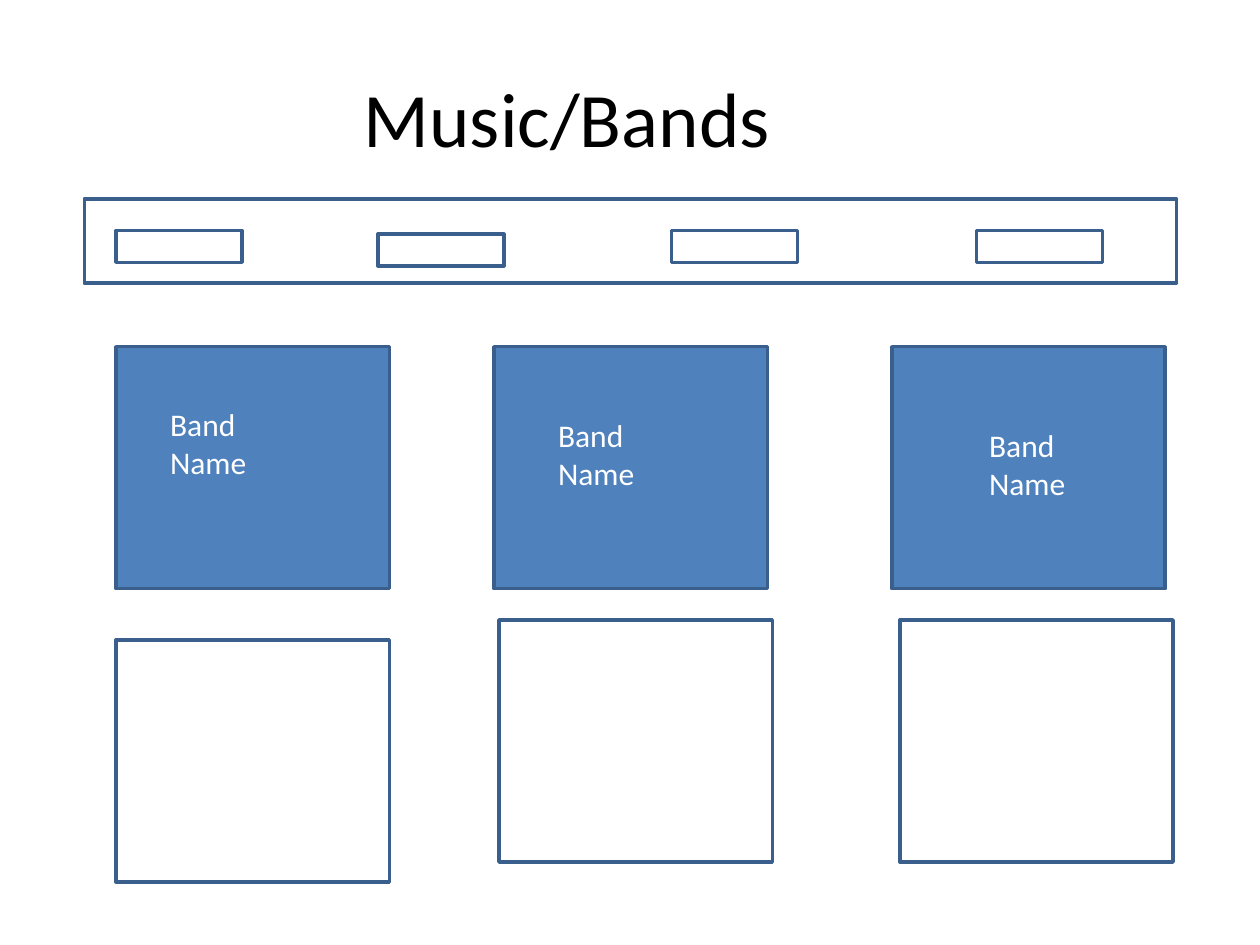
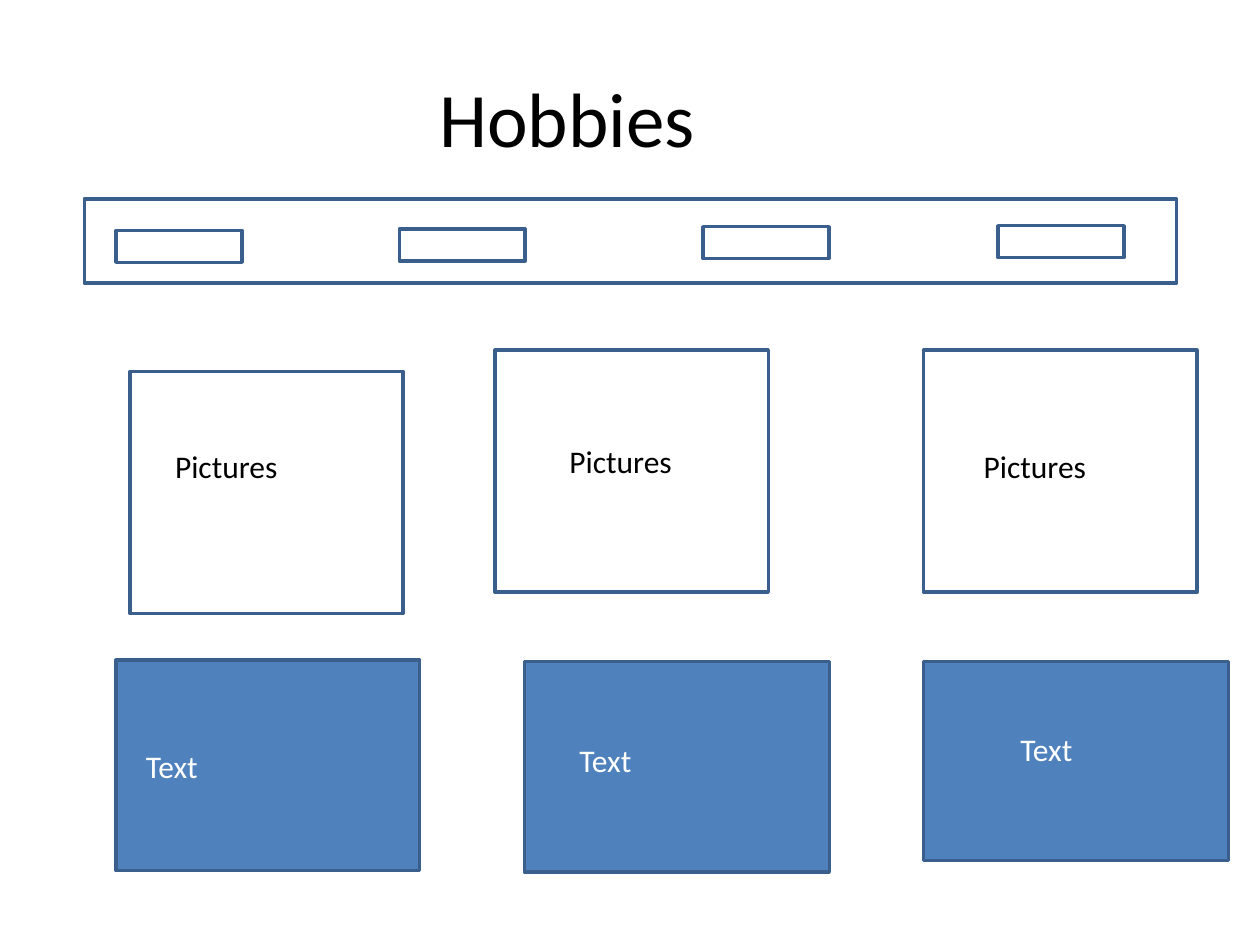
from pptx import Presentation
from pptx.dml.color import RGBColor
from pptx.enum.shapes import MSO_SHAPE as Shape
from pptx.enum.text import MSO_ANCHOR as Anchor, PP_ALIGN as Align
from pptx.util import Cm, Pt

# Shared look
FONT = "Calibri"
WHITE, BLACK = "FFFFFF", "000000"
BLUE, OUTLINE = "4F81BD", "3A5F8C"
BUTTON = (2.54, 0.64)
TILE = (5.51, 4.88)


def color(hex_code):
    return RGBColor.from_string(hex_code)


def add_box(page, left, top, width, height, fill=WHITE):
    box = page.shapes.add_shape(
        Shape.RECTANGLE, Cm(left), Cm(top), Cm(width), Cm(height))
    box.shadow.inherit = False
    box.fill.solid()
    box.fill.fore_color.rgb = color(fill)
    box.line.color.rgb = color(OUTLINE)
    box.line.width = Pt(2)


def add_text(page, text, left, top, width, height, ink=BLACK, size=18,
             align=Align.LEFT, anchor=Anchor.TOP):
    box = page.shapes.add_textbox(Cm(left), Cm(top), Cm(width), Cm(height))
    frame = box.text_frame
    frame.word_wrap = True
    frame.vertical_anchor = anchor
    para = frame.paragraphs[0]
    para.alignment = align
    span = para.add_run()
    span.text = text
    span.font.name = FONT
    span.font.size = Pt(size)
    span.font.color.rgb = color(ink)


def add_page(deck, title, buttons):
    """Add a page with its title and the navigation bar."""
    page = deck.slides.add_slide(deck.slide_layouts[6])
    add_text(page, title, 0, 0.76, 22.86, 3.18, size=44,
             align=Align.CENTER, anchor=Anchor.MIDDLE)
    add_box(page, 1.7, 4.01, 22.02, 1.7)
    for left, top in buttons:
        add_box(page, left, top, *BUTTON)
    return page


def add_tiles(page, corners, fill=WHITE):
    for left, top in corners:
        add_box(page, left, top, *TILE, fill)


def add_labels(page, text, places, height, ink):
    for left, top, width in places:
        add_text(page, text, left, top, width, height, ink)


def add_bands_page(deck):
    page = add_page(deck, "Music/Bands", [
        (2.34, 4.65), (7.62, 4.72), (13.54, 4.65), (19.69, 4.65)])
    # Band names above, empty tiles below
    add_tiles(page, [(left, 6.99) for left in (2.34, 9.96, 17.98)], BLUE)
    add_tiles(page, [(2.34, 12.9), (10.06, 12.5), (18.14, 12.5)])
    add_labels(page, "Band Name", [
        (3.18, 8.05, 3.18), (11, 8.26, 2.97), (19.69, 8.46, 2.74)],
        1.8, WHITE)


def add_hobbies_page(deck):
    page = add_page(deck, "Hobbies", [
        (2.34, 4.65), (8.05, 4.62), (14.17, 4.57), (20.12, 4.55)])
    # Picture tiles
    add_tiles(page, [(2.62, 7.49), (9.98, 7.06), (18.62, 7.06)])
    add_labels(page, "Pictures", [
        (3.28, 8.89, 3.61), (11.23, 8.79, 3.61), (19.58, 8.89, 3.61)],
        1.02, BLACK)
    # Text panels
    for left, top, width, height in [
            (2.34, 13.31, 6.12, 4.24),
            (10.57, 13.34, 6.15, 4.24),
            (18.62, 13.34, 6.15, 4.01)]:
        add_box(page, left, top, width, height, BLUE)
    add_labels(page, "Text", [
        (2.69, 14.94, 3.91), (11.43, 14.81, 2.21), (20.32, 14.6, 2.54)],
        1.02, WHITE)


def main():
    deck = Presentation()
    deck.slide_width, deck.slide_height = Cm(25.4), Cm(19.05)
    add_bands_page(deck)
    add_hobbies_page(deck)
    deck.save("out.pptx")


if __name__ == "__main__":
    main()
